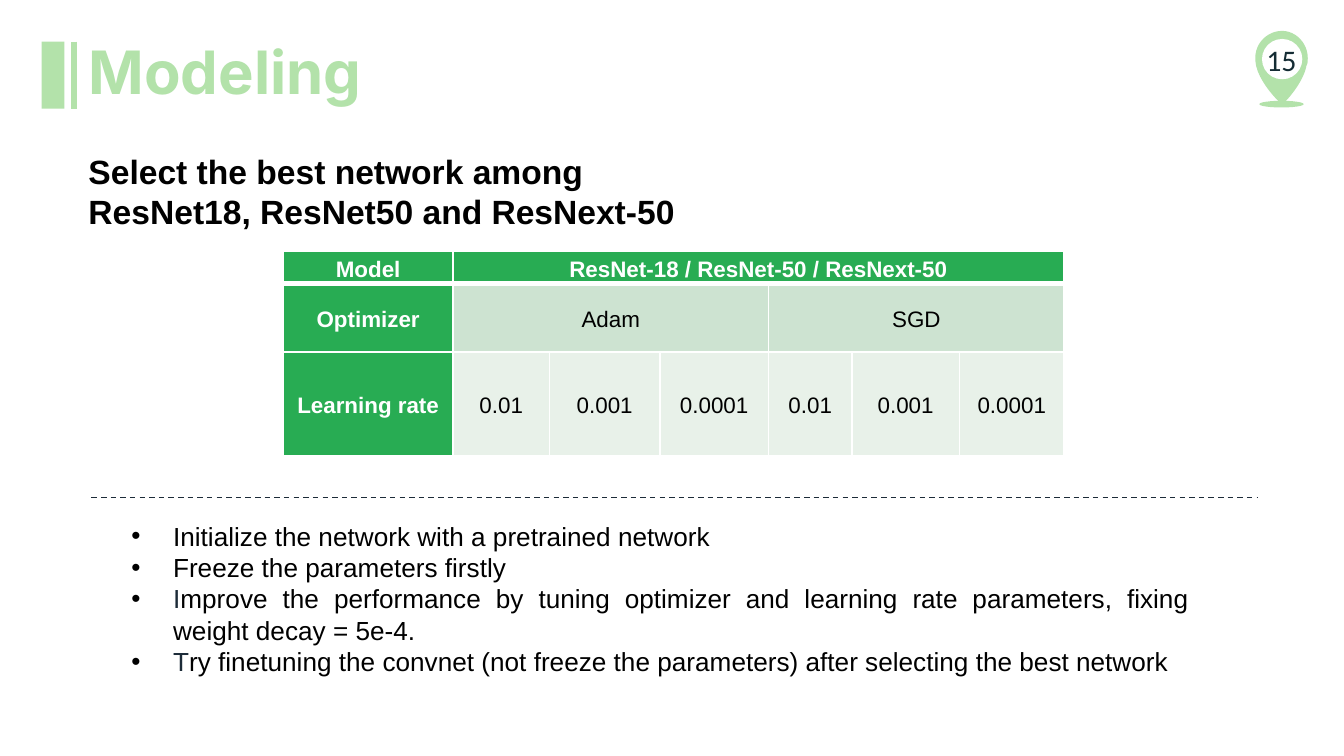
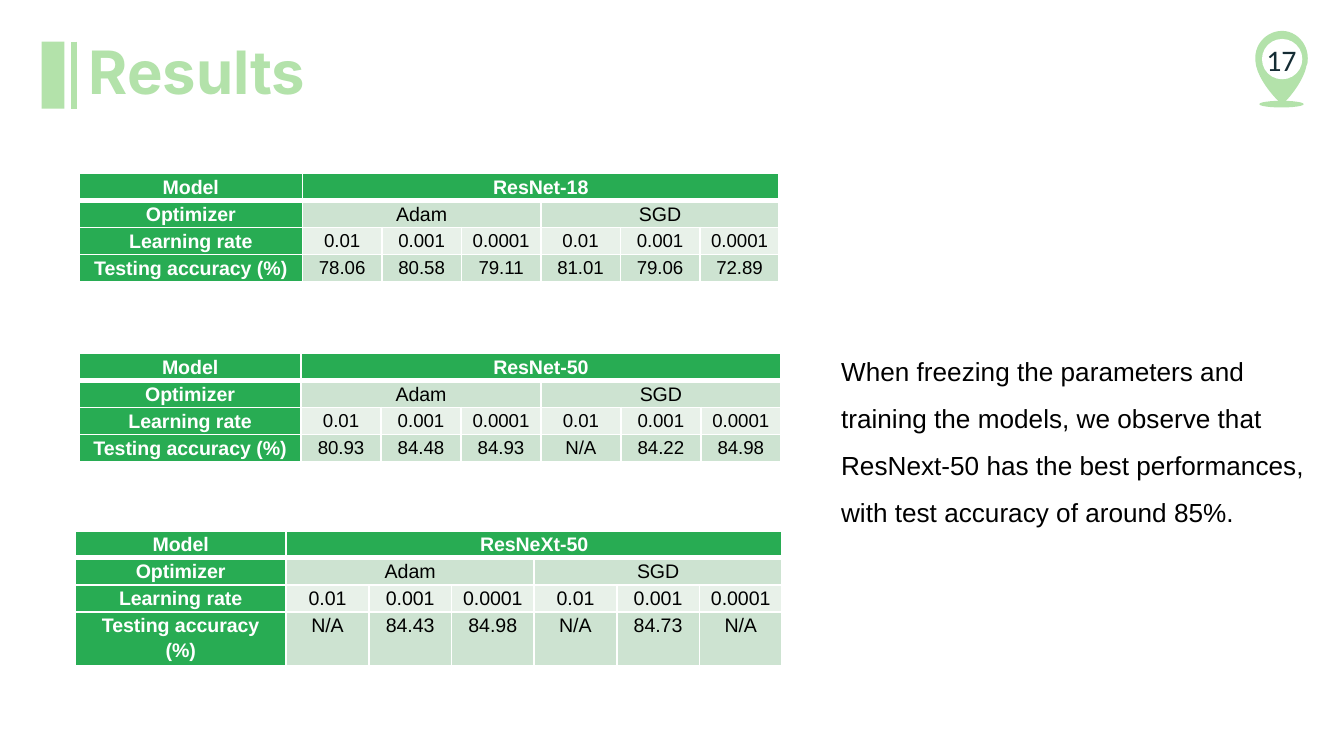
from lxml import etree
from pptx import Presentation
from pptx.dml.color import RGBColor
from pptx.enum.dml import MSO_LINE
from pptx.enum.shapes import MSO_CONNECTOR, MSO_SHAPE
from pptx.enum.text import MSO_ANCHOR, MSO_AUTO_SIZE, PP_ALIGN
from pptx.oxml.ns import qn
from pptx.util import Inches, Pt

# Colours and fonts
MINT = RGBColor(0xB3, 0xE2, 0xAA)
GREEN = RGBColor(0x28, 0xAC, 0x53)
PALE = RGBColor(0xCD, 0xE3, 0xD1)
PALER = RGBColor(0xE8, 0xF1, 0xE9)
WHITE = RGBColor(0xFF, 0xFF, 0xFF)
BLACK = RGBColor(0, 0, 0)
NAVY = RGBColor(0x1C, 0x2B, 0x38)
NUMBER_INK = RGBColor(0x15, 0x2C, 0x34)
BODY, TITLE, NUMBER = "Arial", "Inter", "Calibri"

# Content
RATES = ["0.01", "0.001", "0.0001"]
HEADING = "Select the best network among ResNet18, ResNet50 and ResNext-50"
STEPS = [  # each step is a list of (text, colour)
    [("Initialize the network with a pretrained network", BLACK)],
    [("Freeze the parameters firstly", BLACK)],
    [("I", NAVY), ("mprove the performance by tuning optimizer and learning "
                   "rate parameters, fixing weight decay = 5e-4.", BLACK)],
    [("T", NAVY), ("ry finetuning the convnet (not freeze the parameters) "
                   "after selecting the best network", BLACK)],
]
GRID = dict(model="ResNet-18 / ResNet-50 / ResNext-50", at=(2.11, 1.87),
            cols=[1.26, 0.72, 0.82, 0.81, 0.62, 0.8, 0.78],
            rows=[0.24, 0.51, 0.77], size=12, num_size=12, after=6,
            anchor=MSO_ANCHOR.MIDDLE)


def result_cols(label, total):
    return [label] + [(total - label) / 6] * 6


RESULTS = [
    dict(model="ResNet-18", at=(0.59, 1.29), cols=result_cols(1.66, 5.21), num_size=10,
         accuracy=["78.06", "80.58", "79.11", "81.01", "79.06", "72.89"]),
    dict(model="ResNet-50", at=(0.59, 2.63), cols=result_cols(1.65, 5.22), num_size=10,
         accuracy=["80.93", "84.48", "84.93", "N/A", "84.22", "84.98"]),
    dict(model="ResNeXt-50", at=(0.56, 3.95), cols=result_cols(1.57, 5.26), num_size=10.5,
         accuracy=["N/A", "84.43", "84.98", "N/A", "84.73", "N/A"]),
]
FINDING = ("When freezing the parameters and training the models, we observe that "
           "ResNext-50 has the best performances, with test accuracy of around 85%.")

# Pin outline: start point, then cubic segments (two controls and an end)
PIN_START = (9.73, 0.44)
PIN_CURVES = [
    ((9.73, 0.43), (9.73, 0.43), (9.73, 0.43)),
    ((9.73, 0.32), (9.64, 0.23), (9.54, 0.23)),
    ((9.43, 0.23), (9.34, 0.32), (9.34, 0.43)),
    ((9.34, 0.44), (9.34, 0.44), (9.34, 0.45)),
    ((9.35, 0.61), (9.54, 0.78), (9.54, 0.78)),
    ((9.66, 0.66), (9.71, 0.55), (9.72, 0.49)),
    ((9.73, 0.47), (9.73, 0.46), (9.73, 0.44)),
]


# Helpers
def add_run(p, text, size, color=BLACK, font=BODY, bold=False):
    r = p.add_run()
    r.text = text
    r.font.size, r.font.name, r.font.bold = Pt(size), font, bold
    r.font.color.rgb = color


def paint(shape, color):
    shape.shadow.inherit = False
    shape.fill.solid()
    shape.fill.fore_color.rgb = color
    shape.line.fill.background()


def add_block(s, kind, box, color):
    paint(s.shapes.add_shape(kind, *map(Inches, box)), color)


def add_text(s, box):
    tf = s.shapes.add_textbox(*map(Inches, box)).text_frame
    tf.word_wrap = True
    return tf


def add_line(s, start, end, color, width, dash=None):
    line = s.shapes.add_connector(MSO_CONNECTOR.STRAIGHT, *map(Inches, start + end))
    line.line.color.rgb = color
    line.line.width = Pt(width)
    if dash:
        line.line.dash_style = dash
    etree.SubElement(line._element.spPr, qn("a:effectLst"))


def curve_points(start, curves, steps=12):
    points = []
    for c1, c2, end in curves:
        for i in range(1, steps + 1):
            t = i / steps
            u = 1 - t
            points.append(tuple(
                Inches(u**3 * a + 3 * u * u * t * b + 3 * u * t * t * c + t**3 * d)
                for a, b, c, d in zip(start, c1, c2, end)))
        start = end
    return points


def add_pin(s, number):
    add_block(s, MSO_SHAPE.OVAL, (9.37, 0.75, 0.33, 0.05), MINT)
    fb = s.shapes.build_freeform(*map(Inches, PIN_START))
    fb.add_line_segments(curve_points(PIN_START, PIN_CURVES), close=True)
    paint(fb.convert_to_shape(), MINT)
    add_block(s, MSO_SHAPE.OVAL, (9.39, 0.29, 0.3, 0.3), WHITE)
    tf = add_text(s, (8.37, 0.29, 2.33, 0.3))
    tf.vertical_anchor = MSO_ANCHOR.MIDDLE
    p = tf.paragraphs[0]
    p.alignment = PP_ALIGN.CENTER
    add_run(p, str(number), 16, NUMBER_INK, NUMBER)


def add_slide(prs, title, number):
    s = prs.slides.add_slide(prs.slide_layouts[5])
    add_pin(s, number)
    add_block(s, MSO_SHAPE.RECTANGLE, (0.31, 0.31, 0.17, 0.5), MINT)
    add_line(s, (0.55, 0.31), (0.55, 0.81), MINT, 3)
    t = s.shapes.title
    t.left, t.top, t.width, t.height = map(Inches, (0.56, 0.21, 3.48, 0.6))
    tf = t.text_frame
    tf.auto_size, tf.word_wrap = MSO_AUTO_SIZE.NONE, True
    tf.vertical_anchor = MSO_ANCHOR.TOP
    p = tf.paragraphs[0]
    p.alignment = PP_ALIGN.LEFT
    add_run(p, title, 32, MINT, TITLE, True)
    return s


def set_borders(cell, widths):
    tcPr = cell._tc.get_or_add_tcPr()
    for i, (side, width) in enumerate(widths.items()):
        ln = etree.Element(qn("a:ln" + side), w=str(Pt(width)))
        fill = etree.SubElement(ln, qn("a:solidFill"))
        etree.SubElement(fill, qn("a:srgbClr"), val=str(WHITE))
        tcPr.insert(i, ln)


def add_model_table(s, model, at, cols, num_size, rows=(0.74 / 4,) * 4, size=10.5,
                    after=0, anchor=MSO_ANCHOR.TOP, accuracy=None):
    data = [["Model", model] + [""] * 5,
            ["Optimizer", "Adam", "", "", "SGD", "", ""],
            ["Learning rate"] + RATES * 2]
    if accuracy:
        data.append(["Testing accuracy (%)"] + accuracy)
    box = (*at, sum(cols), sum(rows))
    table = s.shapes.add_table(len(data), len(cols), *map(Inches, box)).table
    for column, width in zip(table.columns, cols):
        column.width = Inches(width)
    for row, height in zip(table.rows, rows):
        row.height = Inches(height)
    for r, first, last in ((0, 1, 6), (1, 1, 3), (1, 4, 6)):
        table.cell(r, first).merge(table.cell(r, last))

    for r, values in enumerate(data):
        for c, value in enumerate(values):
            cell = table.cell(r, c)
            head = r == 0 or c == 0
            cell.fill.solid()
            cell.fill.fore_color.rgb = GREEN if head else PALER if r == 2 else PALE
            set_borders(cell, {"L": 1, "R": 1, "T": 3 if r == 1 else 1,
                               "B": 3 if r == 0 else 1})
            cell.margin_left = cell.margin_right = Pt(5.4)
            cell.margin_top = cell.margin_bottom = 0
            cell.vertical_anchor = anchor
            p = cell.text_frame.paragraphs[0]
            p.alignment = PP_ALIGN.CENTER
            p.line_spacing, p.space_after = 1.15, Pt(after)
            add_run(p, value, num_size if r > 1 and c else size,
                    WHITE if head else BLACK, bold=head)


def set_bullet(p, indent):
    pPr = p._p.get_or_add_pPr()
    pPr.set("marL", str(Inches(indent)))
    pPr.set("indent", str(-Inches(indent)))
    color = etree.SubElement(pPr, qn("a:buClr"))
    etree.SubElement(color, qn("a:srgbClr"), val=str(BLACK))
    etree.SubElement(pPr, qn("a:buFont"), typeface=BODY)
    etree.SubElement(pPr, qn("a:buChar"), char="•")


prs = Presentation()
prs.slide_width, prs.slide_height = Inches(10), Inches(10 * 9 / 16)

# Modeling: search grid above, training steps below
s = add_slide(prs, "Modeling", 15)
add_model_table(s, **GRID)
tf = add_text(s, (0.88, 3.82, 8.07, 1.58))
for i, step in enumerate(STEPS):
    p = tf.add_paragraph() if i else tf.paragraphs[0]
    p.alignment = PP_ALIGN.JUSTIFY
    set_bullet(p, 0.31)
    for text, color in step:
        add_run(p, text, 14, color)
tf = add_text(s, (0.56, 1.07, 4.61, 0.49))
add_run(tf.paragraphs[0], HEADING, 18, bold=True)
add_line(s, (0.68, 3.7), (9.35, 3.7), NAVY, 0.75, MSO_LINE.DASH)

# Results: one table per network, finding on the right
s = add_slide(prs, "Results", 17)
for result in RESULTS:
    add_model_table(s, **result)
p = add_text(s, (6.16, 2.48, 3.65, 1.02)).paragraphs[0]
p.line_spacing = 1.5
add_run(p, FINDING, 14)

prs.save("out.pptx")
